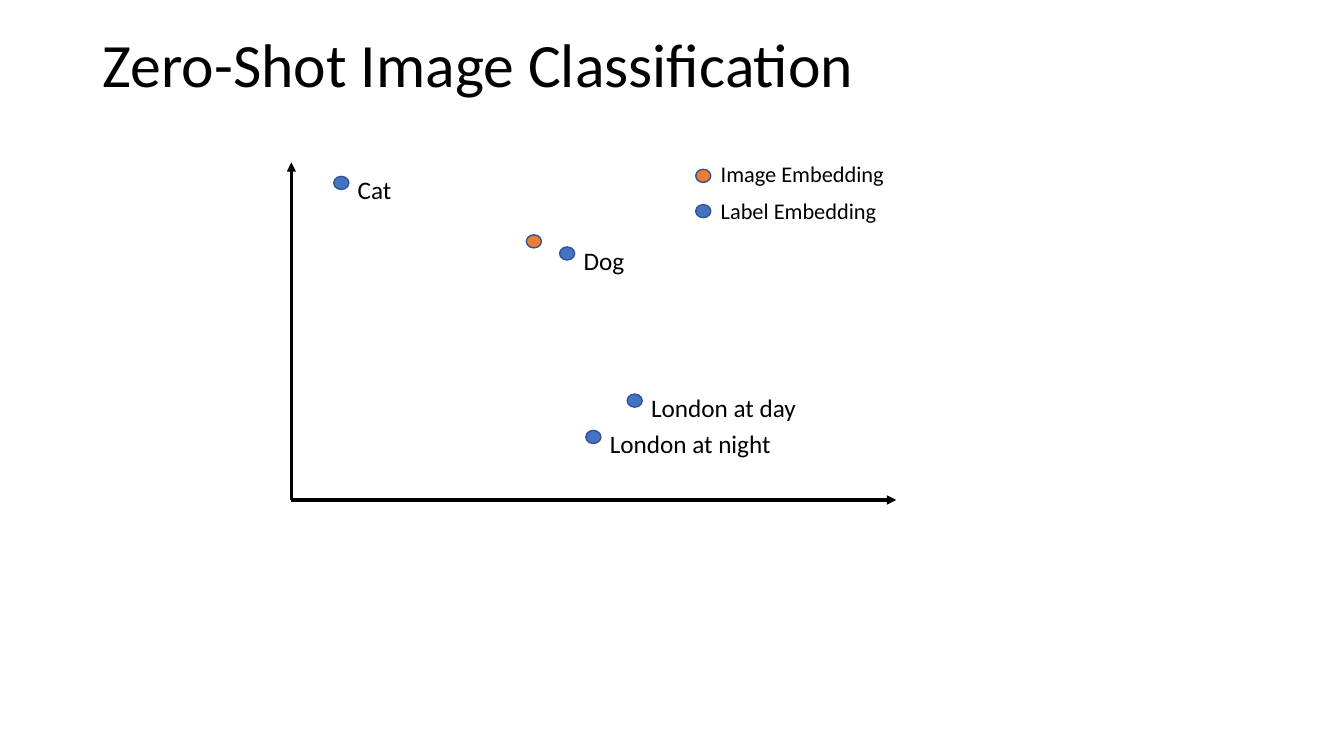
from dataclasses import dataclass

from lxml import etree
from pptx import Presentation
from pptx import util as u
from pptx.dml.color import RGBColor
from pptx.enum import shapes, text
from pptx.oxml.ns import qn

PX = 9144  # EMU per px, 100 px to the inch


@dataclass(frozen=True)
class Theme:
    font: str = "Calibri"
    ink: str = "000000"
    label_dot: str = "4472C4"
    image_dot: str = "ED7D31"
    dot_outline: str = "325491"
    title_size: int = 44
    point_size: int = 18
    legend_size: int = 16
    axis_width: float = 2.25


class Board:
    """Draws elements on the current slide in one style."""

    def __init__(self, slide, theme):
        self.slide = slide
        self.theme = theme

    def add_words(self, frame, words, size):
        run = frame.paragraphs[0].add_run()
        run.text = words
        run.font.name = self.theme.font
        run.font.size = u.Pt(size)
        run.font.color.rgb = RGBColor.from_string(self.theme.ink)

    def title(self, words, left, top, width, height):
        heading = self.slide.shapes.title
        heading.left, heading.top = left * PX, top * PX
        heading.width, heading.height = width * PX, height * PX
        frame = heading.text_frame
        frame.word_wrap = True
        frame.auto_size = text.MSO_AUTO_SIZE.NONE
        frame.vertical_anchor = text.MSO_ANCHOR.MIDDLE
        frame.paragraphs[0].alignment = text.PP_ALIGN.LEFT
        frame.paragraphs[0].line_spacing = 0.9
        self.add_words(frame, words, self.theme.title_size)

    def axis(self, start, end):
        arrow = self.slide.shapes.add_connector(
            shapes.MSO_CONNECTOR.STRAIGHT, *(v * PX for v in (*start, *end)))
        arrow.line.color.rgb = RGBColor.from_string(self.theme.ink)
        arrow.line.width = u.Pt(self.theme.axis_width)
        properties = arrow._element.spPr
        etree.SubElement(properties.find(qn("a:ln")), qn("a:tailEnd"), type="triangle")
        etree.SubElement(properties, qn("a:effectLst"))

    def dot(self, left, top, color):
        marker = self.slide.shapes.add_shape(
            shapes.MSO_SHAPE.OVAL, left * PX, top * PX, 15 * PX, 13 * PX)
        marker.shadow.inherit = False
        marker.fill.solid()
        marker.fill.fore_color.rgb = RGBColor.from_string(color)
        marker.line.color.rgb = RGBColor.from_string(self.theme.dot_outline)
        marker.line.width = u.Pt(1)

    def label(self, words, left, top, width, height, size):
        box = self.slide.shapes.add_textbox(left * PX, top * PX, width * PX, height * PX)
        frame = box.text_frame
        frame.word_wrap = False
        frame.auto_size = text.MSO_AUTO_SIZE.SHAPE_TO_FIT_TEXT
        self.add_words(frame, words, size)


def main():
    deck = Presentation()
    deck.slide_width, deck.slide_height = u.Inches(13.33), u.Inches(7.5)
    theme = Theme()
    board = Board(deck.slides.add_slide(deck.slide_layouts[5]), theme)
    board.title("Zero-Shot Image Classification", 92, -5, 1150, 145)

    # Axes of the embedding space
    origin = (289, 496)
    board.axis(origin, (289, 161))
    board.axis(origin, (889, 496))

    # Label embeddings: name, dot left, dot top, text width
    for name, left, top, width in (
        ("Cat", 331, 175, 54),
        ("Dog", 555, 245, 61),
        ("London at day", 622, 391, 166),
        ("London at night", 581, 427, 182),
    ):
        board.dot(left, top, theme.label_dot)
        board.label(name, left + 14, top - 7, width, 40, theme.point_size)

    # Image embedding
    board.dot(522, 233, theme.image_dot)

    # Legend: name, colour, dot top, text top, text width
    for name, color, dot_top, text_top, width in (
        ("Image Embedding", theme.image_dot, 168, 154, 184),
        ("Label Embedding", theme.label_dot, 203, 191, 176),
    ):
        board.dot(690, dot_top, color)
        board.label(name, 705, text_top, width, 37, theme.legend_size)

    deck.save("out.pptx")


if __name__ == "__main__":
    main()
